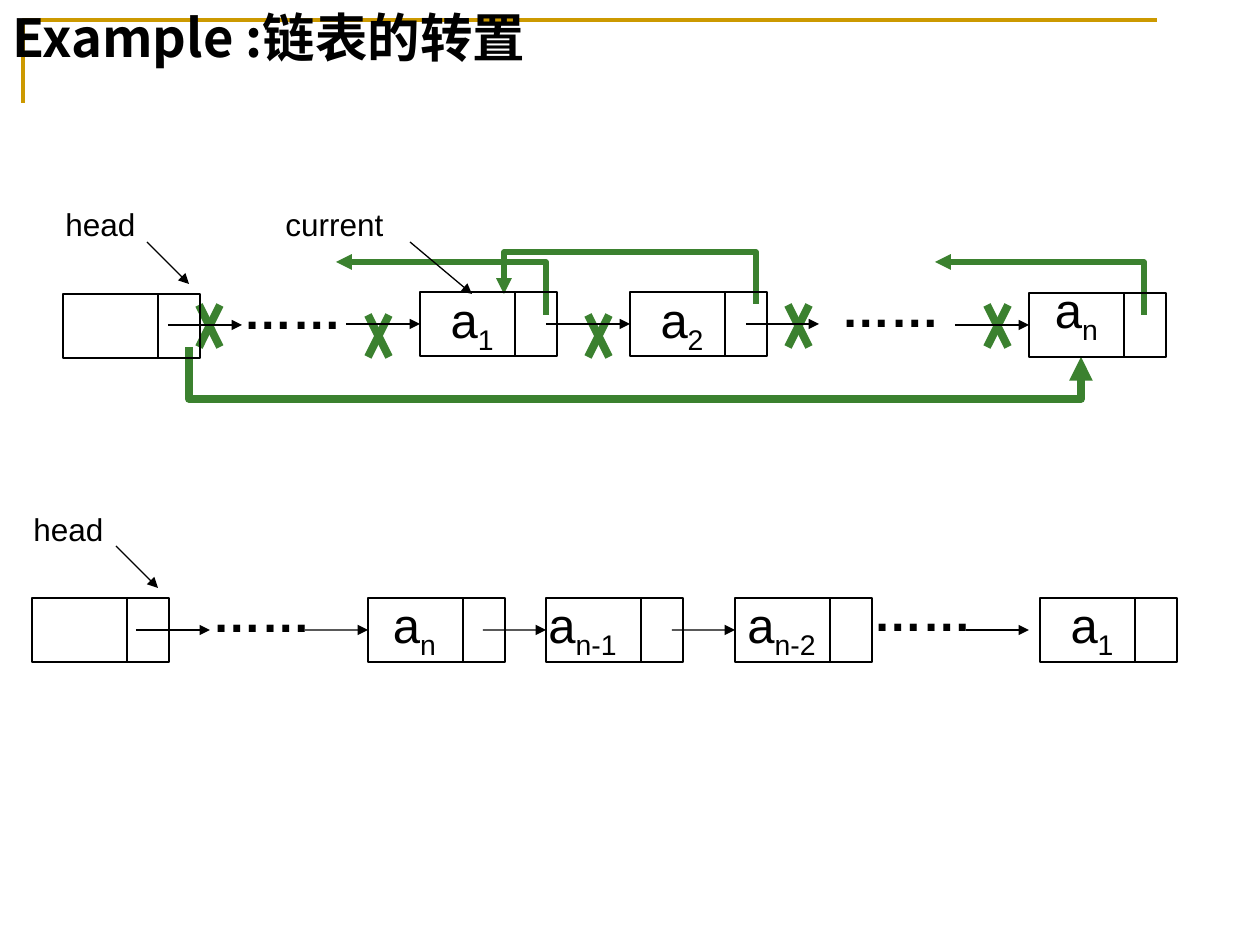
from pptx import Presentation
from pptx import util as u
from pptx.dml.color import RGBColor
from pptx.enum import shapes, text
from pptx.oxml.ns import qn
from lxml import etree

PX = 914400 / 126
BLACK, GREEN, GOLD = "000000", "3B812F", "CC9900"
NODE_W, NODE_H, VALUE_W = 137, 64, 95
LABEL_H = 72


def px(length):
    return u.Emu(round(length * PX))


def color(hex_code):
    return RGBColor.from_string(hex_code)


def style_line(shape, hex_code, width, arrow=False):
    shape.line.color.rgb = color(hex_code)
    shape.line.width = u.Pt(width)
    if arrow:
        line = shape.line._get_or_add_ln()
        etree.SubElement(line, qn("a:tailEnd"), type="triangle")


def add_line(page, start, end, hex_code=BLACK, width=0.75, arrow=False, node=None):
    line = page.shapes.add_connector(
        shapes.MSO_CONNECTOR.STRAIGHT, *map(px, start + end))
    if node is not None:
        line.end_connect(node, 1)
    style_line(line, hex_code, width, arrow)
    etree.SubElement(line._element.spPr, qn("a:effectLst"))


def add_path(page, points, hex_code, width, arrow=False):
    builder = page.shapes.build_freeform(*points[0], scale=PX)
    builder.add_line_segments(points[1:], close=False)
    outline = builder.convert_to_shape()
    outline.shadow.inherit = False
    outline.fill.background()
    style_line(outline, hex_code, width, arrow)
    return outline


def add_cross(page, left, top):
    right, bottom = left + 21, top + 42
    add_line(page, (right, top), (left, bottom), GREEN, 4.5)
    add_line(page, (left, top), (right, bottom), GREEN, 4.5)


def add_node(page, left, top):
    node = page.shapes.add_shape(
        shapes.MSO_SHAPE.RECTANGLE, *map(px, (left, top, NODE_W, NODE_H)))
    node.shadow.inherit = False
    node.fill.background()
    style_line(node, BLACK, 0.75)
    divider = left + VALUE_W
    add_line(page, (divider, top), (divider, top + NODE_H))
    return node


def add_label(page, left, top, width, words, size=18, subscript="", bold=False):
    box = page.shapes.add_textbox(*map(px, (left, top, width, LABEL_H)))
    box.text_frame.word_wrap = True
    para = box.text_frame.paragraphs[0]
    para.text = words
    if subscript:
        para.alignment = text.PP_ALIGN.CENTER
        span = para.add_run()
        span.text = subscript
        span._r.get_or_add_rPr().set("baseline", "-25000")
    for span in para.runs:
        span.font.name = "Arial"
        span.font.size = u.Pt(size)
        span.font.bold = bold
        span.font.color.rgb = color(BLACK)


def add_value(page, left, top, width, subscript):
    add_label(page, left, top, width, "a", 28, subscript)


def add_dots(page, left, top):
    add_label(page, left, top, 137, "……", 28, bold=True)


def add_pointer(page, left, top, width, words, start, end):
    add_label(page, left, top, width, words)
    add_line(page, start, end, arrow=True)


def add_title(page):
    title = page.shapes.title
    title.left, title.top, title.width, title.height = map(px, (0, 0, 1260, 73))
    frame = title.text_frame
    frame.text = "Example :链表的转置"
    frame.vertical_anchor = text.MSO_ANCHOR.MIDDLE
    frame.paragraphs[0].alignment = text.PP_ALIGN.LEFT
    span = frame.paragraphs[0].runs[0]
    span.font.name = "Noto Sans CJK JP"
    span.font.size = u.Pt(30)
    span.font.bold = True
    span.font.color.rgb = color(BLACK)
    etree.SubElement(span._r.get_or_add_rPr(), qn("a:ea"),
                     typeface="Noto Sans CJK JP")
    # Corner rule goes behind the title
    rule = add_path(page, [(23, 103), (23, 20), (1157, 20)], GOLD, 2)
    title._element.addprevious(rule._element)


def add_reversal(page):
    # Links that are cut, and the new links
    for left, top in ((199, 305), (368, 315), (588, 315), (788, 305), (987, 305)):
        add_cross(page, left, top)
    add_path(page, [(189, 347), (189, 399), (1081, 399), (1081, 357)],
             GREEN, 4.5, True)
    for points in ([(546, 315), (546, 262), (336, 262)],
                   [(756, 304), (756, 252), (504, 252), (504, 294)],
                   [(1144, 315), (1144, 262), (935, 262)]):
        add_path(page, points, GREEN, 3, True)


def add_list_before(page):
    add_node(page, 63, 294)
    first, second, last = [
        add_node(page, left, top)
        for left, top in ((420, 292), (630, 292), (1029, 293))]
    add_line(page, (168, 325), (242, 325), arrow=True)
    add_line(page, (346, 324), (420, 324), arrow=True, node=first)
    add_line(page, (546, 324), (630, 324), arrow=True, node=second)
    add_line(page, (746, 324), (819, 324), arrow=True)
    add_line(page, (955, 325), (1029, 325), arrow=True, node=last)
    for left, top, width, subscript in (
            (388, 283, 168, "1"), (598, 283, 168, "2"), (998, 273, 157, "n")):
        add_value(page, left, top, width, subscript)
    add_dots(page, 231, 274)
    add_dots(page, 829, 272)
    add_pointer(page, 53, 199, 116, "head", (147, 242), (189, 284))
    add_pointer(page, 273, 199, 168, "current", (410, 242), (472, 294))


def add_list_after(page):
    add_node(page, 32, 598)
    targets = [add_node(page, left, 598) for left in (368, 546, 735)]
    add_node(page, 1040, 598)
    add_line(page, (136, 630), (210, 630), arrow=True)
    for start, target in zip((305, 483, 672), targets):
        add_line(page, (start, 630), (start + 63, 630), arrow=True, node=target)
    add_line(page, (966, 630), (1029, 630), arrow=True)
    for left, width, subscript in (
            (336, 157, "n"), (504, 157, "n-1"), (703, 157, "n-2"), (1008, 168, "1")):
        add_value(page, left, 588, width, subscript)
    add_dots(page, 200, 577)
    add_dots(page, 861, 576)
    add_pointer(page, 21, 504, 116, "head", (116, 546), (158, 588))


def main():
    deck = Presentation()
    deck.slide_width, deck.slide_height = px(1260), px(945)
    page = deck.slides.add_slide(deck.slide_layouts[5])
    add_title(page)
    add_reversal(page)
    add_list_before(page)
    add_list_after(page)
    deck.save("out.pptx")


if __name__ == "__main__":
    main()
